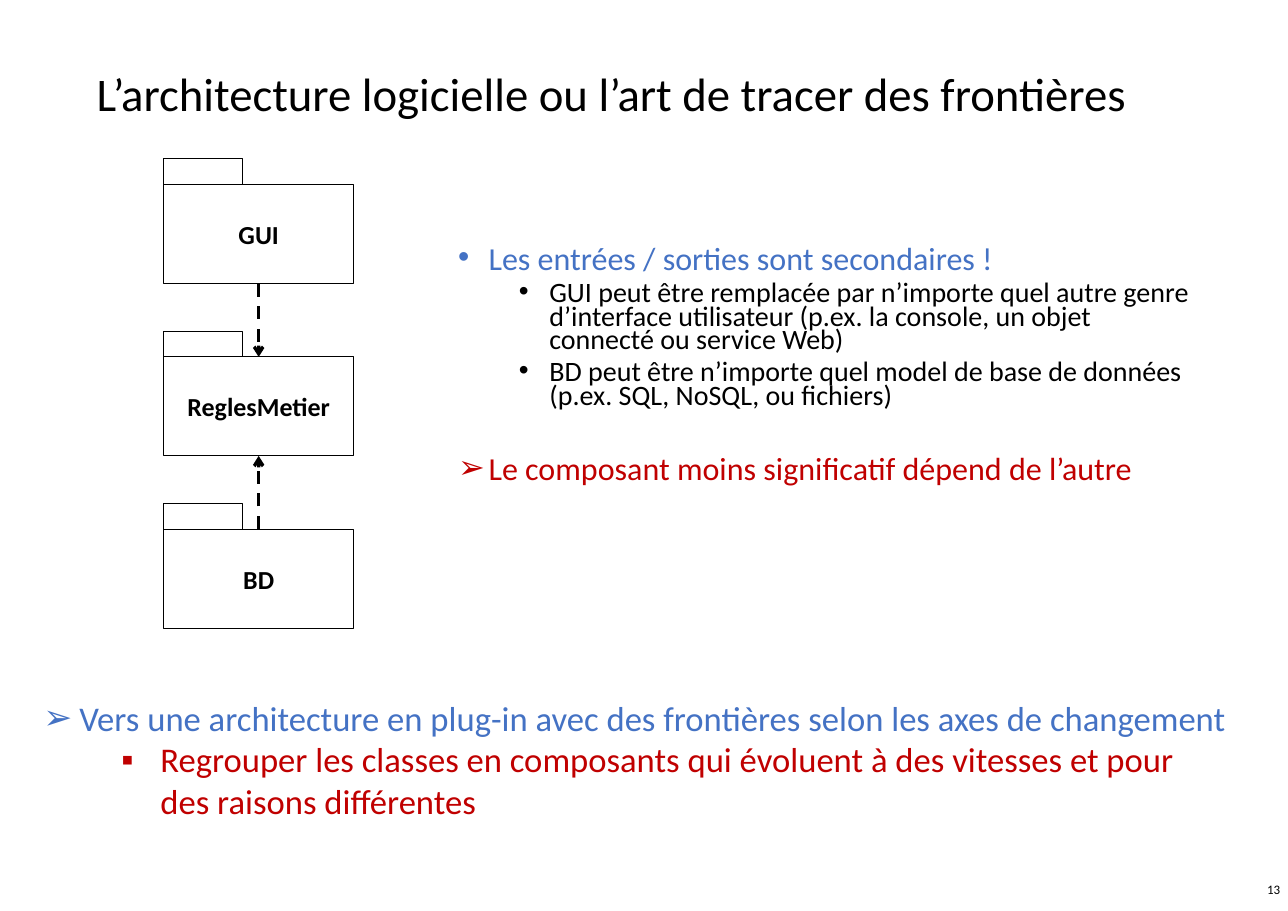
from dataclasses import dataclass

from lxml.etree import SubElement
from pptx import Presentation
from pptx.dml.color import RGBColor
from pptx.enum.dml import MSO_LINE
from pptx.enum.shapes import MSO_CONNECTOR, MSO_SHAPE
from pptx.enum.text import MSO_ANCHOR as Anchor, MSO_AUTO_SIZE, PP_ALIGN as Align
from pptx.oxml.ns import qn
from pptx.util import Inches, Pt


@dataclass(frozen=True)
class Theme:
    font: str = "Calibri"
    bullet_font: str = "Arial"
    black: str = "000000"
    white: str = "FFFFFF"
    blue: str = "4472C4"
    red: str = "C00000"
    title_size: float = 43.2
    conclusion_size: float = 32
    point_size: float = 29.6
    detail_size: float = 25.9
    package_size: float = 24
    number_size: float = 12


THEME = Theme()
TITLE = "L’architecture logicielle ou l’art de tracer des frontières"
PAGE_NUMBER = "13"
PACKAGES = ["GUI", "ReglesMetier", "BD"]
DEPENDENCIES = [("GUI", 2, "ReglesMetier", 0), ("BD", 0, "ReglesMetier", 2)]

# text, level, bullet, colour, size, space before
POINTS = [
    ("Les entrées / sorties sont secondaires !", 0, "•", THEME.blue, THEME.point_size, 15.6),
    ("GUI peut être remplacée par n’importe quel autre genre d’interface utilisateur "
     "(p.ex. la console, un objet connecté ou service Web)",
     1, "•", THEME.black, THEME.detail_size, 7.8),
    ("BD peut être n’importe quel model de base de données (p.ex. SQL, NoSQL, ou fichiers)",
     1, "•", THEME.black, THEME.detail_size, 7.8),
    ("Le composant moins significatif dépend de l’autre",
     0, "➢", THEME.red, THEME.point_size, 45.5),
]
CONCLUSIONS = [
    ("Vers une architecture en plug-in avec des frontières selon les axes de changement",
     0, "➢", THEME.blue, THEME.conclusion_size, 0),
    ("Regrouper les classes en composants qui évoluent à des vitesses et pour "
     "des raisons différentes", 2, "▪", THEME.red, THEME.conclusion_size, 0),
]
# level: (left margin, hanging indent)
POINT_INDENTS = {0: (0.39, 0.39), 1: (1.17, 0.39)}
CONCLUSION_INDENTS = {0: (0.46, 0.46), 2: (1.5, 0.5)}

TITLE_BOX = (1.14, 0.62, 14.26, 1.22)
POINTS_BOX = (5.78, 3.14, 9.62, 3.2)
CONCLUSION_BOX = (0.46, 8.89, 15.4, 1.72)
NUMBER_BOX = (12.81, 11.1, 3.72, 0.62)
PACKAGE_LEFT, PACKAGE_TOP, PACKAGE_PITCH = 2.1, 2.37, 2.21
PACKAGE_WIDTH, PACKAGE_HEIGHT = 2.44, 1.27
TAB_WIDTH, TAB_HEIGHT = 1.01, 0.33


def inches(box):
    return [Inches(length) for length in box]


def place(shape, box):
    shape.left, shape.top, shape.width, shape.height = inches(box)


def prepare_frame(shape, anchor):
    frame = shape.text_frame
    frame.word_wrap = True
    frame.auto_size = MSO_AUTO_SIZE.NONE
    frame.vertical_anchor = anchor
    return frame


def add_text(paragraph, text, size, color=THEME.black, bold=False):
    run = paragraph.add_run()
    run.text = text
    run.font.name = THEME.font
    run.font.size = Pt(size)
    run.font.bold = bold
    run.font.color.rgb = RGBColor.from_string(color)


def set_bullet(paragraph, character, margin, hanging):
    properties = paragraph._p.get_or_add_pPr()
    properties.set("marL", str(Inches(margin)))
    properties.set("indent", str(-Inches(hanging)))
    SubElement(properties, qn("a:buFont"), typeface=THEME.bullet_font)
    SubElement(properties, qn("a:buChar"), char=character)


def fill_list(shape, items, indents, line_spacing):
    frame = prepare_frame(shape, Anchor.TOP)
    for index, (text, level, bullet, color, size, space_before) in enumerate(items):
        paragraph = frame.add_paragraph() if index else frame.paragraphs[0]
        paragraph.level = level
        paragraph.line_spacing = line_spacing
        paragraph.space_before = Pt(space_before)
        set_bullet(paragraph, bullet, *indents[level])
        add_text(paragraph, text, size, color)


def fill_line(shape, text, size, align, bold=False):
    paragraph = prepare_frame(shape, Anchor.MIDDLE).paragraphs[0]
    paragraph.alignment = align
    add_text(paragraph, text, size, bold=bold)
    return paragraph


def add_outlined(slide, kind, box):
    shape = slide.shapes.add_shape(kind, *inches(box))
    shape.shadow.inherit = False
    shape.fill.solid()
    shape.fill.fore_color.rgb = RGBColor.from_string(THEME.white)
    shape.line.color.rgb = RGBColor.from_string(THEME.black)
    shape.line.width = Pt(1)
    return shape


def add_package(slide, name, top):
    """Draw a UML package: a named body with a small tab above it."""
    body = add_outlined(slide, MSO_SHAPE.RECTANGLE,
                        (PACKAGE_LEFT, top, PACKAGE_WIDTH, PACKAGE_HEIGHT))
    fill_line(body, name, THEME.package_size, Align.CENTER, bold=True)
    add_outlined(slide, MSO_SHAPE.FLOWCHART_PROCESS,
                 (PACKAGE_LEFT, top - TAB_HEIGHT, TAB_WIDTH, TAB_HEIGHT))
    return body


def add_dependency(slide, source, source_side, target, target_side):
    arrow = slide.shapes.add_connector(MSO_CONNECTOR.STRAIGHT, 0, 0, 0, 0)
    arrow.begin_connect(source, source_side)
    arrow.end_connect(target, target_side)
    arrow.line.color.rgb = RGBColor.from_string(THEME.black)
    arrow.line.width = Pt(3)
    arrow.line.dash_style = MSO_LINE.DASH
    SubElement(arrow.line._get_or_add_ln(), qn("a:tailEnd"), type="arrow")
    SubElement(arrow._element.spPr, qn("a:effectLst"))


def main():
    presentation = Presentation()
    presentation.slide_width, presentation.slide_height = Inches(16.53), Inches(11.69)
    slide = presentation.slides.add_slide(presentation.slide_layouts[1])

    title, points = slide.shapes.title, slide.placeholders[1]
    place(title, TITLE_BOX)
    fill_line(title, TITLE, THEME.title_size, Align.LEFT).line_spacing = 0.9
    place(points, POINTS_BOX)
    fill_list(points, POINTS, POINT_INDENTS, 0.7)

    packages = {name: add_package(slide, name, PACKAGE_TOP + index * PACKAGE_PITCH)
                for index, name in enumerate(PACKAGES)}
    for source, source_side, target, target_side in DEPENDENCIES:
        add_dependency(slide, packages[source], source_side, packages[target], target_side)

    conclusion = slide.shapes.add_textbox(*inches(CONCLUSION_BOX))
    fill_list(conclusion, CONCLUSIONS, CONCLUSION_INDENTS, 1.0)
    number = slide.shapes.add_textbox(*inches(NUMBER_BOX))
    fill_line(number, PAGE_NUMBER, THEME.number_size, Align.RIGHT)

    presentation.save("out.pptx")


if __name__ == "__main__":
    main()
